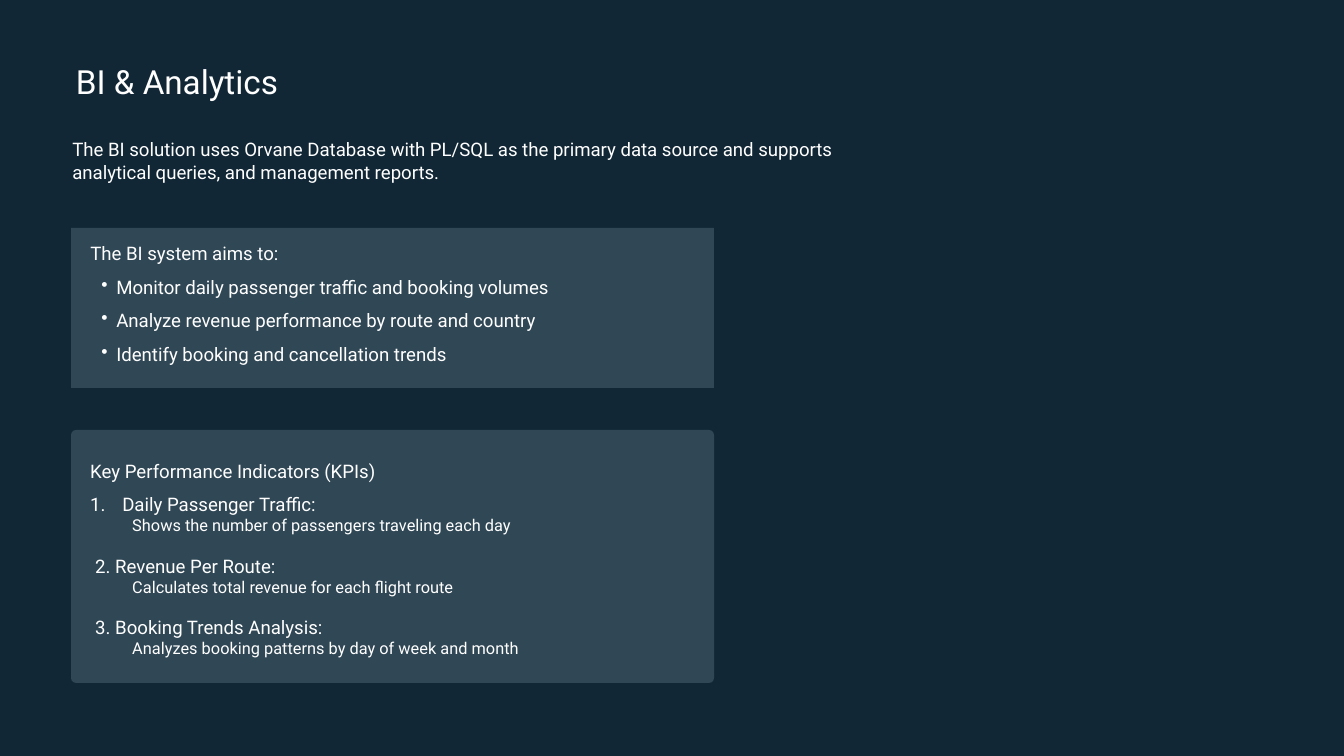
import pptx
import pptx.dml.color
import pptx.enum.shapes
import pptx.enum.text
import pptx.util
import lxml.etree

THEME = {
    "font": "Roboto",
    "background": "112736",
    "panel": "304755",
    "text": "FFFFFF",
    "title": 28.5,
    "body": 16,
    "detail": 14,
}

TITLE = "BI & Analytics"
INTRO = ("The BI solution uses Orvane Database with PL/SQL as the primary data source "
         "and supports analytical queries, and management reports.")
AIMS_HEADING = "The BI system aims to:"
AIMS = [
    "Monitor daily passenger traffic and booking volumes",
    "Analyze revenue performance by route and country",
    "Identify booking and cancellation trends",
]
KPI_HEADING = "Key Performance Indicators (KPIs)"
KPIS = [
    ("Daily Passenger Traffic:", "Shows the number of passengers traveling each day"),
    ("2. Revenue Per Route:", "Calculates total revenue for each flight route"),
    ("3. Booking Trends Analysis:", "Analyzes booking patterns by day of week and month"),
]

WIDTH, HEIGHT = 1344, 756
PANEL_LEFT, PANEL_WIDTH = 71, 643
SHAPES = pptx.enum.shapes.MSO_SHAPE
PANELS = [
    (SHAPES.ROUNDED_RECTANGLE, 430, 253),
    (SHAPES.RECTANGLE, 228, 160),
]
KPI_GAP = pptx.util.Pt(16.4)


def px(length):
    return round(length * 914400 / 84)


def color(name):
    return pptx.dml.color.RGBColor.from_string(THEME[name])


def add_panel(slide, kind, top, height):
    panel = slide.shapes.add_shape(kind, px(PANEL_LEFT), px(top), px(PANEL_WIDTH), px(height))
    panel.shadow.inherit = False
    panel.fill.solid()
    panel.fill.fore_color.rgb = color("panel")
    panel.line.fill.background()
    if kind == SHAPES.ROUNDED_RECTANGLE:
        panel.adjustments[0] = 0.02


def add_text(slide, left, top, width, height, paragraphs, wrap=True, inset=None):
    frame = slide.shapes.add_textbox(px(left), px(top), px(width), px(height)).text_frame
    frame.word_wrap = wrap
    if inset is not None:
        frame.margin_left = frame.margin_right = px(inset)
        frame.margin_top = frame.margin_bottom = px(inset)
    for index, content in enumerate(paragraphs):
        paragraph = frame.paragraphs[0] if index == 0 else frame.add_paragraph()
        write(paragraph, **content)
    return frame


def write(paragraph, text, size="body", spacing=None, before=None,
          level=0, margin=0, indent=0, marker=None):
    paragraph.level = level
    if spacing:
        paragraph.line_spacing = spacing
    if before:
        paragraph.space_before = before
    properties = paragraph._p.get_or_add_pPr()
    properties.set("marL", str(px(margin)))
    properties.set("indent", str(px(indent)))
    if marker:
        tag, attribute, value = marker
        bullet = lxml.etree.SubElement(properties, pptx.oxml.ns.qn(tag))
        bullet.set(attribute, value)
    run = paragraph.add_run()
    run.text = text
    run.font.name = THEME["font"]
    run.font.size = pptx.util.Pt(THEME[size])
    run.font.color.rgb = color("text")


def aim_lines():
    dot = ("a:buChar", "char", "•")
    return [dict(text=AIMS_HEADING)] + [
        dict(text=aim, spacing=1.5, margin=26, indent=-15, marker=dot) for aim in AIMS
    ]


def kpi_lines():
    lines = [dict(text=KPI_HEADING, spacing=1.5)]
    for index, (name, detail) in enumerate(KPIS):
        if index == 0:
            number = ("a:buAutoNum", "type", "arabicPeriod")
            lines.append(dict(text=name, spacing=1.5, margin=32, indent=-32, marker=number))
        else:
            lines.append(dict(text=name, before=KPI_GAP, margin=5))
        lines.append(dict(text=detail, size="detail", level=1, margin=42))
    return lines


def main():
    deck = pptx.Presentation()
    deck.slide_width, deck.slide_height = px(WIDTH), px(HEIGHT)
    slide = deck.slides.add_slide(deck.slide_layouts[6])
    slide.background.fill.solid()
    slide.background.fill.fore_color.rgb = color("background")

    title = [dict(text=TITLE, size="title", spacing=pptx.util.Pt(35.5))]
    add_text(slide, 76, 60, 933, 42, title, wrap=False, inset=0)
    for panel in PANELS:
        add_panel(slide, *panel)
    kpis = add_text(slide, 82, 442, 590, 222, kpi_lines())
    kpis.vertical_anchor = pptx.enum.text.MSO_ANCHOR.MIDDLE
    add_text(slide, 64, 134, 785, 79, [dict(text=INTRO)])
    add_text(slide, 82, 238, 633, 129, aim_lines())
    deck.save("out.pptx")


if __name__ == "__main__":
    main()
